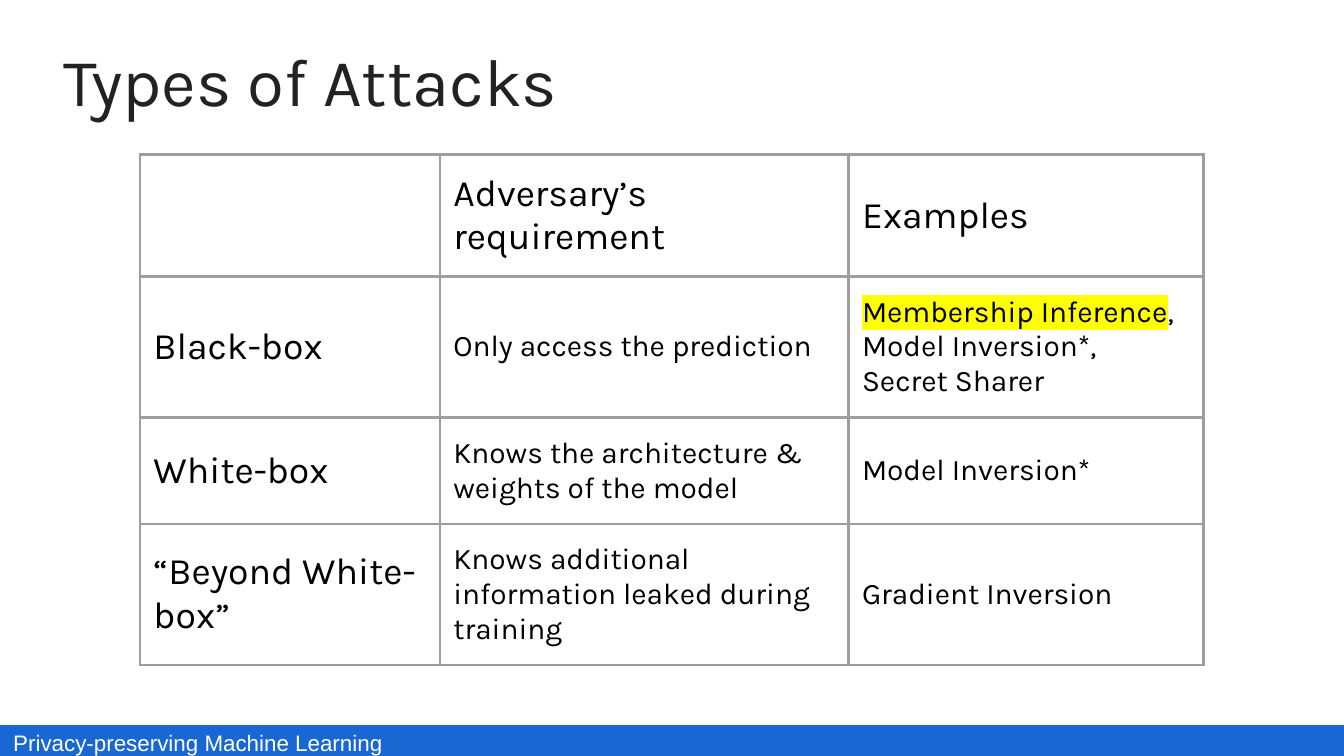
from lxml import etree
from pptx import Presentation
from pptx.dml.color import RGBColor
from pptx.enum import shapes, text
from pptx.oxml import ns
from pptx.util import Pt

BLUE = RGBColor(0x19, 0x67, 0xD2)
WHITE = RGBColor(0xFF, 0xFF, 0xFF)
BLACK = RGBColor(0, 0, 0)
DARK = RGBColor(0x22, 0x22, 0x22)
GREY = RGBColor(0x9E, 0x9E, 0x9E)
YELLOW = RGBColor(0xFF, 0xFF, 0)

INSET = Pt(7.2)
COLUMN_WIDTHS = [160.7, 218.9, 190.1]
ROW_HEIGHTS = [65.4, 75.5, 57, 75.5]
HIGHLIGHTED = "Membership Inference"

# Each cell is one string; a line break starts a new paragraph
ATTACKS = [
    ["", "Adversary’s requirement", "Examples"],
    ["Black-box", "Only access the prediction",
     "Membership Inference,\nModel Inversion*,\nSecret Sharer"],
    ["White-box", "Knows the architecture & weights of the model",
     "Model Inversion*"],
    ["“Beyond White-box”",
     "Knows additional information leaked during training",
     "Gradient Inversion"],
]


def style(paragraph, name, size, color):
    paragraph.font.name = name
    paragraph.font.size = Pt(size)
    paragraph.font.color.rgb = color


def set_insets(frame):
    frame.margin_left = frame.margin_right = INSET
    frame.margin_top = frame.margin_bottom = INSET


def add_title(slide, wording):
    title = slide.shapes.title
    title.left, title.top, title.width, title.height = (
        Pt(26.6), Pt(13.7), Pt(677), Pt(58.3))
    frame = title.text_frame
    frame.text = wording
    set_insets(frame)
    frame.word_wrap = True
    frame.auto_size = text.MSO_AUTO_SIZE.NONE
    frame.vertical_anchor = text.MSO_ANCHOR.TOP
    heading = frame.paragraphs[0]
    heading.alignment = text.PP_ALIGN.LEFT
    style(heading, "Karla", 36, DARK)


def add_footer(slide, wording):
    footer = slide.shapes.add_shape(
        shapes.MSO_SHAPE.RECTANGLE, 0, Pt(388.8), Pt(720), Pt(16.2))
    footer.shadow.inherit = False
    footer.fill.solid()
    footer.fill.fore_color.rgb = BLUE
    footer.line.color.rgb = BLUE
    footer.line.width = Pt(0.75)
    frame = footer.text_frame
    frame.text = wording
    set_insets(frame)
    frame.vertical_anchor = text.MSO_ANCHOR.MIDDLE
    course = frame.paragraphs[0]
    course.alignment = text.PP_ALIGN.LEFT
    course.line_spacing = 1.15
    style(course, "Arial", 12, WHITE)


def add_color(parent, color):
    etree.SubElement(parent, ns.qn("a:srgbClr"), val=str(color))


def add_borders(cell):
    properties = cell._tc.get_or_add_tcPr()
    for side in ("L", "R", "T", "B"):
        border = etree.SubElement(
            properties, ns.qn(f"a:ln{side}"), w=str(Pt(1.5)))
        add_color(etree.SubElement(border, ns.qn("a:solidFill")), GREY)


def add_highlight(run):
    properties = run._r.get_or_add_rPr()
    add_color(etree.SubElement(properties, ns.qn("a:highlight")), YELLOW)


def write_line(paragraph, line, size):
    if line.startswith(HIGHLIGHTED):
        marked = paragraph.add_run()
        marked.text = HIGHLIGHTED
        add_highlight(marked)
        line = line.removeprefix(HIGHLIGHTED)
    paragraph.add_run().text = line
    style(paragraph, "Karla", size, BLACK)


def fill_cell(cell, wording, size):
    set_insets(cell)
    cell.vertical_anchor = text.MSO_ANCHOR.MIDDLE
    add_borders(cell)
    cell.fill.background()
    if not wording:
        return
    frame = cell.text_frame
    for index, line in enumerate(wording.split("\n")):
        paragraph = frame.add_paragraph() if index else frame.paragraphs[0]
        write_line(paragraph, line, size)


def add_attack_table(slide):
    attacks = slide.shapes.add_table(
        len(ROW_HEIGHTS), len(COLUMN_WIDTHS), Pt(75), Pt(82.8),
        Pt(sum(COLUMN_WIDTHS)), Pt(sum(ROW_HEIGHTS))).table
    attacks.first_row = False
    attacks.horz_banding = False
    for column, width in zip(attacks.columns, COLUMN_WIDTHS):
        column.width = Pt(width)
    for row, height in zip(attacks.rows, ROW_HEIGHTS):
        row.height = Pt(height)
    for r, wordings in enumerate(ATTACKS):
        for c, wording in enumerate(wordings):
            # Headings in the first row and column are larger
            size = 20 if r == 0 or c == 0 else 16
            fill_cell(attacks.cell(r, c), wording, size)


def main():
    deck = Presentation()
    deck.slide_width, deck.slide_height = Pt(720), Pt(405)
    slide = deck.slides.add_slide(deck.slide_layouts[5])
    add_footer(slide, "Privacy-preserving Machine Learning")
    add_title(slide, "Types of Attacks")
    add_attack_table(slide)
    deck.save("out.pptx")


if __name__ == "__main__":
    main()
